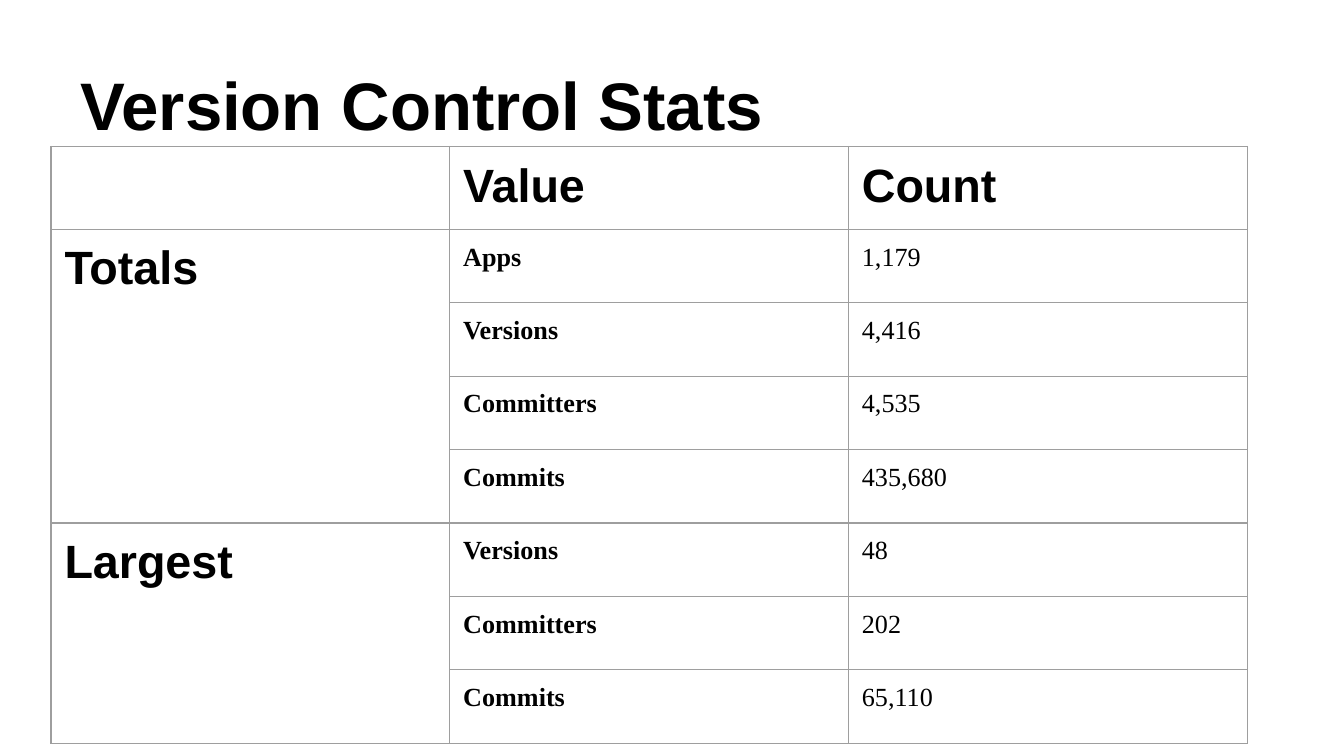
import pptx
import pptx.dml.color
import pptx.enum.text
import pptx.oxml
import pptx.oxml.ns
import pptx.util
from pptx.util import Inches

BLACK, WHITE, GRID = "000000", "FFFFFF", "9E9E9E"


def color(hex_code):
    return pptx.dml.color.RGBColor.from_string(hex_code)


def write(frame, text, size=14, font="Times New Roman", bold=True):
    run = frame.paragraphs[0].add_run()
    run.text = text
    run.font.size = pptx.util.Pt(size)
    run.font.name = font
    run.font.bold = bold
    run.font.color.rgb = color(BLACK)


# Widescreen 16:9 page
deck = pptx.Presentation()
deck.slide_width = Inches(10)
deck.slide_height = Inches(10) * 9 // 16
slide = deck.slides.add_slide(deck.slide_layouts[6])
slide.background.fill.solid()
slide.background.fill.fore_color.rgb = color(WHITE)

# Title
title = slide.shapes.add_textbox(Inches(0.5), Inches(0.23), Inches(9), Inches(0.94)).text_frame
title.word_wrap = True
title.vertical_anchor = pptx.enum.text.MSO_ANCHOR.BOTTOM
title.margin_left = title.margin_right = Inches(0.1)
title.margin_top = title.margin_bottom = Inches(0.1)
write(title, "Version Control Stats", size=36, font="Arial")

# Statistics by group
groups = {
    "Totals": [("Apps", "1,179"), ("Versions", "4,416"),
               ("Committers", "4,535"), ("Commits", "435,680")],
    "Largest": [("Versions", "48"), ("Committers", "202"), ("Commits", "65,110")],
}
row_count = 1 + sum(len(entries) for entries in groups.values())
stats_frame = slide.shapes.add_table(row_count, 3, Inches(0.38), Inches(1.09),
                                     Inches(8.9), Inches(4.37))
stats = stats_frame.table
stats.first_row = stats.horz_banding = False

# Plain cells with thin grey borders
for cell in stats.iter_cells():
    cell.margin_left = cell.margin_right = Inches(0.1)
    cell.margin_top = cell.margin_bottom = Inches(0.1)
    properties = cell._tc.get_or_add_tcPr()
    for side in ("lnL", "lnR", "lnT", "lnB"):
        properties.append(pptx.oxml.parse_xml(
            f'<a:{side} {pptx.oxml.ns.nsdecls("a")} w="{pptx.util.Pt(0.75)}">'
            f'<a:solidFill><a:srgbClr val="{GRID}"/></a:solidFill></a:{side}>'))
    cell.fill.background()

# Header row
for column, heading in enumerate(("Value", "Count"), start=1):
    write(stats.cell(0, column).text_frame, heading, size=25, font="Arial")

# One merged label per group, with its entries beside it
row = 1
for group, entries in groups.items():
    label = stats.cell(row, 0)
    label.merge(stats.cell(row + len(entries) - 1, 0))
    write(label.text_frame, group, size=25, font="Arial")
    for value, count in entries:
        write(stats.cell(row, 1).text_frame, value)
        write(stats.cell(row, 2).text_frame, count, bold=False)
        row += 1

# The nominal frame is smaller than the grid, so rows keep their natural height
stats_frame.width = stats_frame.height = Inches(3.28)

deck.save("out.pptx")
